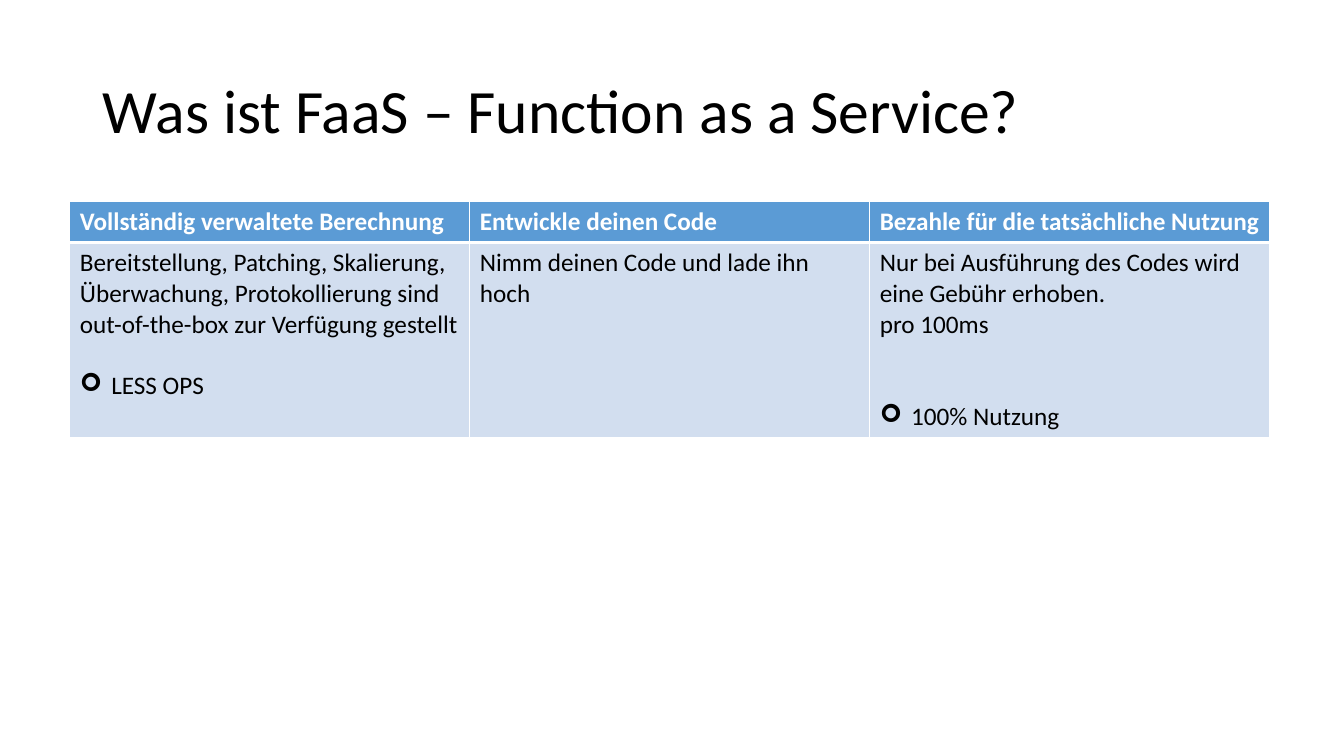
from pptx import Presentation
from pptx.dml.color import RGBColor
from pptx.enum.text import MSO_ANCHOR as Anchor, MSO_AUTO_SIZE as AutoSize, PP_ALIGN as Align
from pptx.oxml.ns import qn
from pptx.util import Cm, Pt
from lxml.etree import SubElement

LINE_HEIGHT = 22
COLUMNS = [
    ("Vollständig verwaltete Berechnung",
     ["Bereitstellung, Patching, Skalierung, Überwachung, Protokollierung sind "
      "out-of-the-box zur Verfügung gestellt"],
     "LESS OPS", 1),
    ("Entwickle deinen Code", ["Nimm deinen Code und lade ihn hoch"], None, 0),
    ("Bezahle für die tatsächliche Nutzung",
     ["Nur bei Ausführung des Codes wird eine Gebühr erhoben.", "pro 100ms"],
     "100% Nutzung", 2),
]


def color(value):
    return RGBColor.from_string(value)


class SlideBuilder:
    font = "Calibri"
    black = "000000"
    white = "FFFFFF"
    header_fill = "5B9BD5"
    body_fill = "D2DEEF"

    def __init__(self, deck):
        self.page = deck.slides.add_slide(deck.slide_layouts[5])

    def add_span(self, para, text, size, ink, bold=False):
        span = para.add_run()
        span.text = text
        span.font.name = self.font
        span.font.size = Pt(size)
        span.font.bold = bold
        span.font.color.rgb = color(ink)

    def title(self, text, left, top, width, height):
        box = self.page.shapes.title
        box.left, box.top, box.width, box.height = Cm(left), Cm(top), Cm(width), Cm(height)
        frame = box.text_frame
        frame.auto_size = AutoSize.NONE
        frame.vertical_anchor = Anchor.MIDDLE
        para = frame.paragraphs[0]
        para.alignment = Align.LEFT
        para.line_spacing = 0.9
        self.add_span(para, text, 44, self.black)

    def bullet(self, para, symbol):
        properties = para._p.get_or_add_pPr()
        properties.set("marL", str(Cm(0.79)))
        properties.set("indent", str(-Cm(0.79)))
        SubElement(properties, qn("a:buFont"), typeface="Wingdings")
        SubElement(properties, qn("a:buChar"), char=symbol)

    def style_cell(self, cell, fill, widths):
        properties = cell._tc.get_or_add_tcPr()
        for side, width in widths.items():
            line = SubElement(properties, qn(f"a:ln{side}"), w=str(Pt(width)))
            solid = SubElement(line, qn("a:solidFill"))
            SubElement(solid, qn("a:srgbClr"), val=self.white)
        cell.fill.solid()
        cell.fill.fore_color.rgb = color(fill)

    def table(self, columns, left, top, column_width, row_heights):
        grid = self.page.shapes.add_table(
            len(row_heights), len(columns), Cm(left), Cm(top),
            Cm(column_width * len(columns)), Cm(sum(row_heights))).table
        for row, height in zip(grid.rows, row_heights):
            row.height = Cm(height)
        for index, (heading, texts, conclusion, gap) in enumerate(columns):
            grid.columns[index].width = Cm(column_width)
            header, body = grid.cell(0, index), grid.cell(1, index)
            self.style_cell(header, self.header_fill, {"L": 1, "R": 1, "T": 1, "B": 3})
            self.style_cell(body, self.body_fill, {"L": 1, "R": 1, "T": 3, "B": 1})
            self.add_span(header.text_frame.paragraphs[0], heading, 18, self.white, True)
            frame = body.text_frame
            for number, text in enumerate(texts):
                para = frame.add_paragraph() if number else frame.paragraphs[0]
                self.add_span(para, text, 18, self.black)
            if conclusion:
                para = frame.add_paragraph()
                para.space_before = Pt(gap * LINE_HEIGHT)
                self.bullet(para, "➢")
                self.add_span(para, conclusion, 18, self.black)


def main():
    deck = Presentation()
    deck.slide_width, deck.slide_height = Cm(33.87), Cm(19.05)
    builder = SlideBuilder(deck)
    builder.title("Was ist FaaS – Function as a Service?", 2.34, 1.02, 29.21, 3.68)
    builder.table(COLUMNS, 1.76, 5.08, 10.08, [1.03, 4.9])
    deck.save("out.pptx")


if __name__ == "__main__":
    main()
